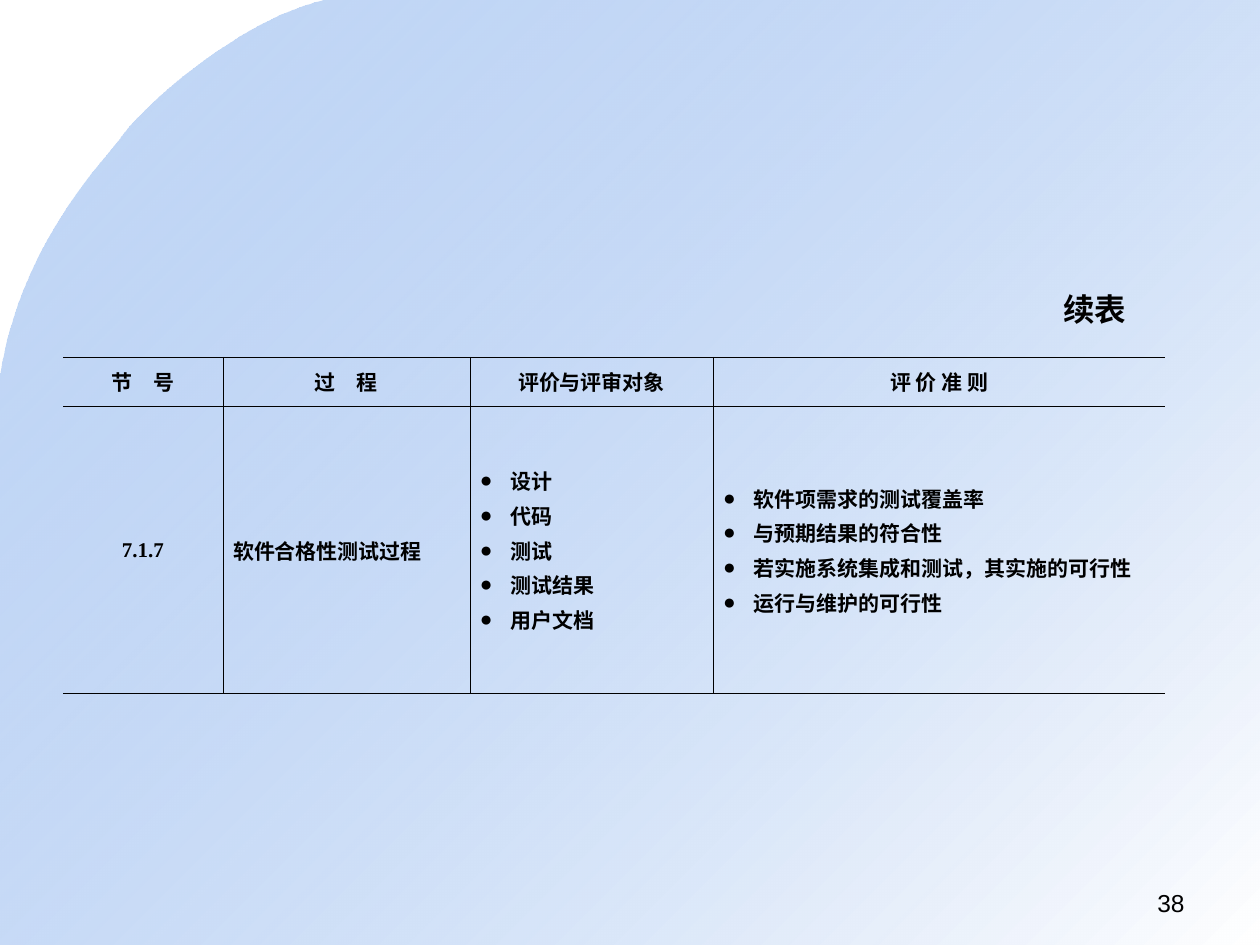
"""Build the continued evaluation table slide."""
from dataclasses import dataclass

from lxml.etree import SubElement
from pptx import Presentation
from pptx.dml.color import RGBColor
from pptx.enum.text import MSO_ANCHOR as Anchor, MSO_AUTO_SIZE as AutoSize, PP_ALIGN as Align
from pptx.oxml.ns import qn
from pptx.util import Inches, Pt

BLACK = RGBColor(0x00, 0x00, 0x00)
BLUE = RGBColor(0x69, 0x9D, 0xE9)
WHITE = RGBColor(0xFF, 0xFF, 0xFF)
UNIT = Inches(0.1)
GRID_COLS, GRID_ROWS = 100, 75
SERIF, SANS = "Times New Roman", "Arial"
BORDER_WIDTH = Pt(0.45)
BULLET_INDENT = Inches(0.24)
CURVE_STEPS = 24


@dataclass(frozen=True)
class Area:
    """A rectangle in grid units."""
    col: float
    row: float
    cols: float
    rows: float

    def lengths(self) -> tuple[int, ...]:
        return tuple(round(n * UNIT) for n in (self.col, self.row, self.cols, self.rows))


@dataclass(frozen=True)
class Entry:
    """The content of one table cell."""
    lines: tuple[str, ...]
    align: Align = Align.CENTER
    bulleted: bool = False


TITLE_AREA = Area(83.4, 22.5, 8.5, 4)
TABLE_AREA = Area(5, 28.35, 87.5, 26.7)
NUMBER_AREA = Area(71.7, 70, 23.3, 3.5)
COLUMN_SPANS = (12.7, 19.6, 19.3, 35.9)
ROW_SPANS = (3.9, 22.8)
CORNER_START = (25.8, 0)
CORNER_CURVES = (
    ((19, 1.6), (11.6, 8.3), (9.8, 10.7)),
    ((8, 13.2), (1.6, 19.4), (0, 30.1)),
)
ENTRIES = (
    (Entry(("节　号",)), Entry(("过　程",)), Entry(("评价与评审对象",)), Entry(("评 价 准 则",))),
    (
        Entry(("7.1.7",)),
        Entry(("软件合格性测试过程",), Align.JUSTIFY),
        Entry(("设计", "代码", "测试", "测试结果", "用户文档"), Align.JUSTIFY, True),
        Entry(("软件项需求的测试覆盖率", "与预期结果的符合性",
               "若实施系统集成和测试，其实施的可行性", "运行与维护的可行性"), Align.JUSTIFY, True),
    ),
)


def write(frame, *lines: str, size: float, font: str, bold: bool = False,
          align: Align = Align.LEFT, gap: float = 0, bulleted: bool = False) -> None:
    """Fill a text frame with one paragraph per line."""
    for index, line in enumerate(lines):
        paragraph = frame.paragraphs[0] if index == 0 else frame.add_paragraph()
        paragraph.alignment = align
        paragraph.space_before = Pt(gap if index else 0)
        paragraph.space_after = Pt(gap)
        if bulleted:
            properties = paragraph._p.get_or_add_pPr()
            properties.set("marL", str(BULLET_INDENT))
            properties.set("indent", str(-BULLET_INDENT))
            SubElement(properties, qn("a:buFont"), typeface=font)
            SubElement(properties, qn("a:buChar"), char="●")
        run = paragraph.add_run()
        run.text = line
        run.font.size, run.font.name, run.font.bold = Pt(size), font, bold
        run.font.color.rgb = BLACK


def curve_points(start: tuple, curves: tuple) -> list[tuple[float, float]]:
    """Sample a chain of cubic curves."""
    points = []
    for first, second, end in curves:
        for step in range(1, CURVE_STEPS + 1):
            t = step / CURVE_STEPS
            s = 1 - t
            points.append(tuple(
                s**3 * a + 3 * s * s * t * b + 3 * s * t * t * c + t**3 * d
                for a, b, c, d in zip(start, first, second, end)))
        start = end
    return points


def draw_backdrop(slide) -> None:
    """Draw the gradient sheet with its curved corner behind everything."""
    outline = [CORNER_START, *curve_points(CORNER_START, CORNER_CURVES)]
    outline += [(0, GRID_ROWS), (GRID_COLS, GRID_ROWS), (GRID_COLS, 0)]
    start, *corners = [(round(x * UNIT), round(y * UNIT)) for x, y in outline]
    builder = slide.shapes.build_freeform(*start)
    builder.add_line_segments(corners, close=True)
    backdrop = builder.convert_to_shape()
    backdrop.shadow.inherit = False
    backdrop.line.fill.background()
    backdrop.fill.gradient()
    backdrop.fill.gradient_angle = 315
    for stop, color, position in zip(backdrop.fill.gradient_stops, (BLUE, WHITE), (0, 1)):
        stop.color.rgb, stop.position = color, position
    blue = backdrop._element.spPr.find(".//" + qn("a:srgbClr"))
    SubElement(blue, qn("a:alpha"), val="39000")
    slide.shapes._spTree.insert(2, backdrop._element)


def draw_borders(cell, visible: str) -> None:
    """Rule the named sides of a cell and clear the others."""
    properties = cell._tc.get_or_add_tcPr()
    for side in "LRTB":
        line = SubElement(properties, qn(f"a:ln{side}"), w=str(BORDER_WIDTH))
        if side in visible:
            fill = SubElement(line, qn("a:solidFill"))
            SubElement(fill, qn("a:srgbClr"), val=str(BLACK))
        else:
            SubElement(line, qn("a:noFill"))


def draw_table(slide) -> None:
    """Draw the table, open at its left and right edges."""
    table = slide.shapes.add_table(len(ROW_SPANS), len(COLUMN_SPANS), *TABLE_AREA.lengths()).table
    table.first_row = table.horz_banding = False
    for column, span in zip(table.columns, COLUMN_SPANS):
        column.width = round(span * UNIT)
    for row, span in zip(table.rows, ROW_SPANS):
        row.height = round(span * UNIT)
    last = len(COLUMN_SPANS) - 1
    for r, entries in enumerate(ENTRIES):
        for c, entry in enumerate(entries):
            cell = table.cell(r, c)
            draw_borders(cell, "TB" + ("L" if c > 0 else "") + ("R" if c < last else ""))
            cell.fill.background()
            cell.vertical_anchor = Anchor.MIDDLE
            cell.margin_left = cell.margin_right = Inches(0.08)
            cell.margin_top = cell.margin_bottom = Inches(0.05)
            write(cell.text_frame, *entry.lines, size=12, font=SERIF, bold=True,
                  align=entry.align, gap=1.2, bulleted=entry.bulleted)


def draw_title(slide) -> None:
    """Place the continuation heading above the table."""
    title = slide.shapes.title
    title.left, title.top, title.width, title.height = TITLE_AREA.lengths()
    frame = title.text_frame
    frame.word_wrap = True
    frame.auto_size = AutoSize.NONE
    frame.vertical_anchor = Anchor.TOP
    write(frame, "续表", size=18, font=SANS, bold=True)


def draw_page_number(slide) -> None:
    """Place the page number at the lower right."""
    frame = slide.shapes.add_textbox(*NUMBER_AREA.lengths()).text_frame
    frame.word_wrap = True
    write(frame, "38", size=14, font=SANS, align=Align.RIGHT)


def main() -> None:
    """Build and save the slide."""
    deck = Presentation()
    deck.slide_width, deck.slide_height = GRID_COLS * UNIT, GRID_ROWS * UNIT
    slide = deck.slides.add_slide(deck.slide_layouts[5])
    draw_backdrop(slide)
    draw_table(slide)
    draw_title(slide)
    draw_page_number(slide)
    deck.save("out.pptx")


if __name__ == "__main__":
    main()
